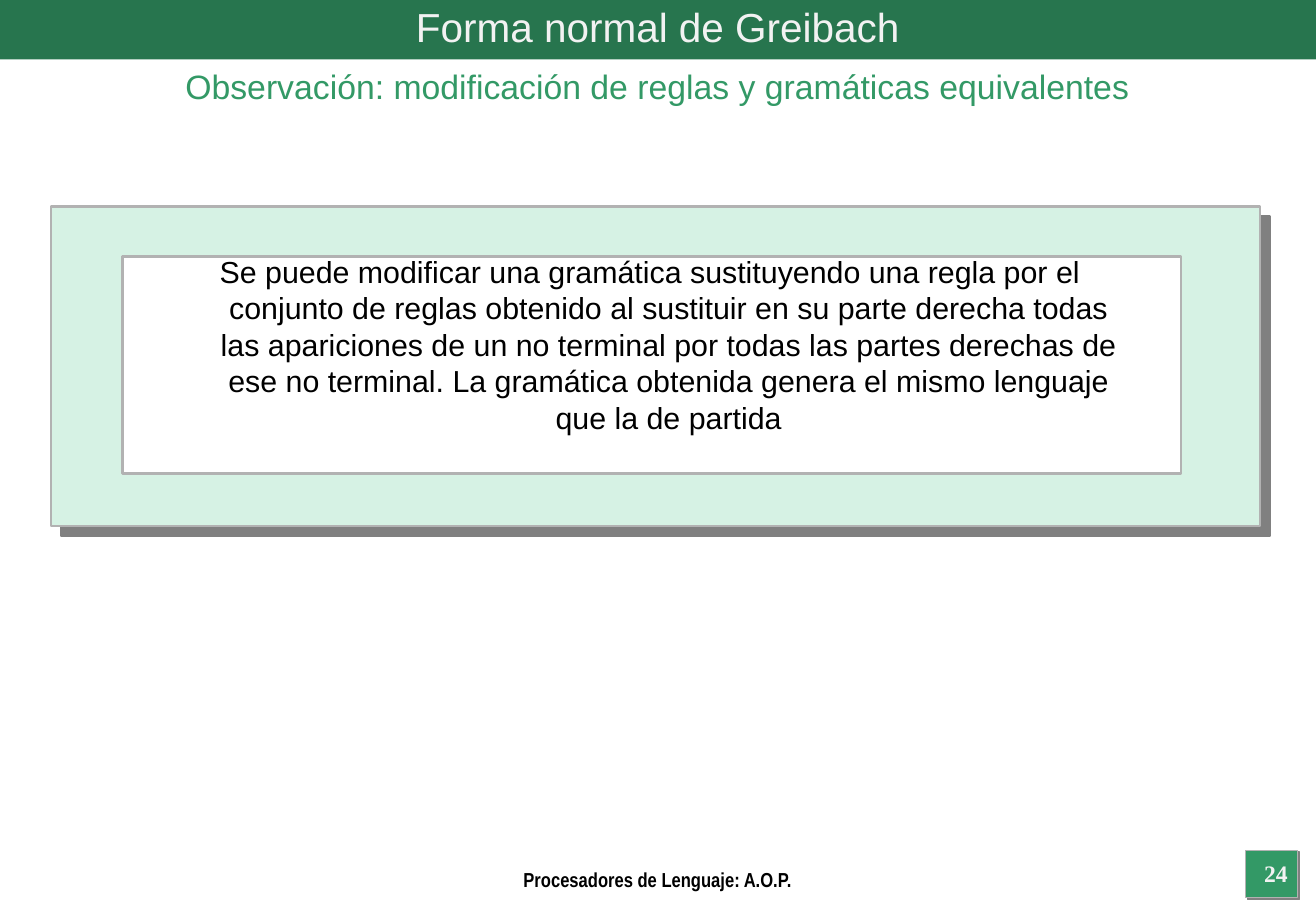
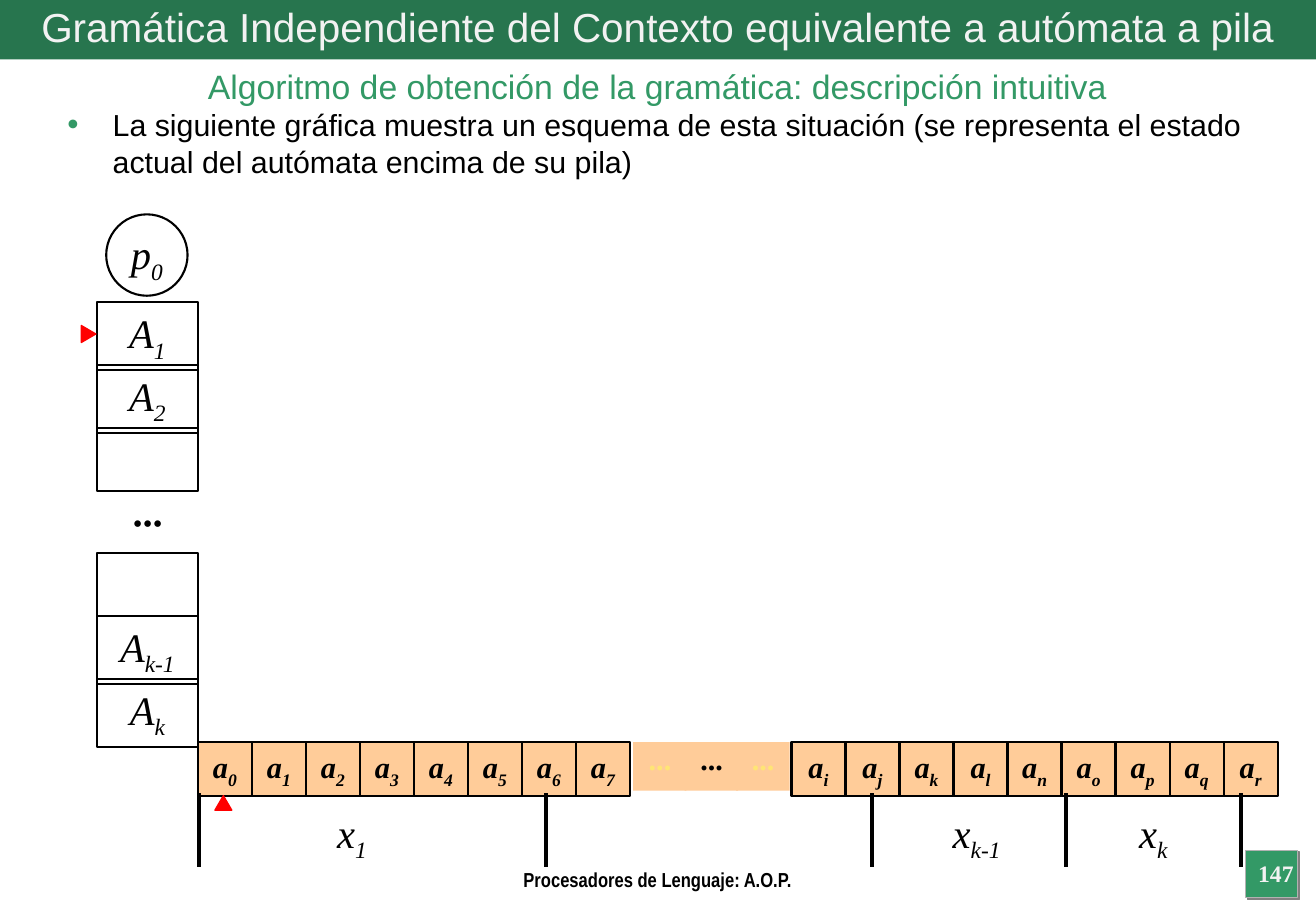
import lxml.etree
import pptx
import pptx.dml.color
import pptx.enum.shapes
import pptx.enum.text
import pptx.oxml.ns
import pptx.util

PX = 4572  # 200 px to the inch
INK = {"green": "339966", "dark": "27754E", "mint": "D6F2E4", "pale": "F2F2F2",
       "grey": "B2B2B2", "shade": "808080", "black": "000000", "white": "FFFFFF",
       "red": "FF0000", "peach": "FFCC99", "gold": "FFE575"}
# name: font, size, colour, bold, italic
STYLE = {"title": ("Arial", 24, "pale", False, False),
         "sub": ("Arial", 20, "green", False, False),
         "body": ("Arial", 18, "black", False, False),
         "foot": ("Arial Narrow", 12, "black", True, False),
         "page": ("Times New Roman", 14, "pale", True, False),
         "sign": ("Times New Roman", 24, "black", False, True),
         "gap": ("Times New Roman", 24, "black", True, True),
         "cell": ("Times New Roman", 18, "black", True, True),
         "faint": ("Times New Roman", 18, "gold", True, True)}
KIND = pptx.enum.shapes.MSO_SHAPE
ALIGN = pptx.enum.text.PP_ALIGN
ANCHOR = pptx.enum.text.MSO_ANCHOR
qn = pptx.oxml.ns.qn


def emu(*sizes):
    return [pptx.util.Emu(size * PX) for size in sizes]


def rgb(name):
    return pptx.dml.color.RGBColor.from_string(INK[name])


def node(parent, tag, **attrs):
    return lxml.etree.SubElement(parent, qn(tag), attrs)


def write(shape, text, style, sub="", align=ALIGN.CENTER, anchor=ANCHOR.TOP):
    """Put one paragraph, with an optional subscript, into a shape."""
    frame = shape.text_frame
    frame.word_wrap = True
    frame.vertical_anchor = anchor
    para = frame.paragraphs[0]
    para.text = text
    para.alignment = align
    if sub:
        run = para.add_run()
        run.text = sub
        run._r.get_or_add_rPr().set("baseline", "-25000")
    face, size, ink, bold, slant = STYLE[style]
    for run in para.runs:
        font = run.font
        font.name, font.size = face, pptx.util.Pt(size)
        font.bold, font.italic = bold, slant
        font.color.rgb = rgb(ink)
    return para


def label(slide, box, text, style, **opts):
    return write(slide.shapes.add_textbox(*emu(*box)), text, style, **opts)


def sign(slide, mid, top, text, sub):
    """Set a symbol centred on mid, in a box wide enough for one line."""
    label(slide, (mid - 80, top, 160, 112), text, "sign", sub=sub)


def draw(slide, box, fill=None, line=None, width=1.25, kind=KIND.RECTANGLE):
    shape = slide.shapes.add_shape(kind, *emu(*box))
    shape.shadow.inherit = False
    if fill:
        shape.fill.solid()
        shape.fill.fore_color.rgb = rgb(fill)
    else:
        shape.fill.background()
    if line:
        shape.line.color.rgb = rgb(line)
        shape.line.width = pptx.util.Pt(width)
    else:
        shape.line.fill.background()
    return shape


def shade(shape, dist):
    """Cast a hard shadow to the lower right, dist in points."""
    effects = shape._element.spPr.find(qn("a:effectLst"))
    cast = node(effects, "a:outerShdw", dist=str(pptx.util.Pt(dist)),
                dir="2700000", algn="ctr", rotWithShape="0")
    node(cast, "a:srgbClr", val=INK["shade"])


def hang(para, depth, bullet=False):
    """Indent all lines but the first, which may carry a bullet."""
    props = para._p.get_or_add_pPr()
    props.set("marL", str(depth * PX))
    props.set("indent", str(-depth * PX))
    if bullet:
        node(node(props, "a:buClr"), "a:srgbClr", val=INK["green"])
        node(props, "a:buSzPct", val="120000")
        node(props, "a:buFont", typeface="Times New Roman")
        node(props, "a:buChar", char="•")


def tick(slide, x):
    line = slide.shapes.add_connector(pptx.enum.shapes.MSO_CONNECTOR.STRAIGHT,
                                      *emu(x, 1306, x, 1428))
    line.line.color.rgb = rgb("black")
    line.line.width = pptx.util.Pt(2.5)
    node(line._element.spPr, "a:effectLst")


def arrow(slide, x, y, turn):
    shape = draw(slide, (x, y, 28, 24), "red", "red", 0.75,
                 KIND.ISOSCELES_TRIANGLE)
    shape.rotation = turn


def start(deck, title, sub, page):
    """Add a slide with the shared band, titles, footer and page badge."""
    slide = deck.slides.add_slide(deck.slide_layouts[6])
    shade(draw(slide, (2052, 1400, 86, 78), "green", "grey", 0.75), 1.4)
    draw(slide, (0, 0, 2168, 98), "dark")
    label(slide, (0, 0, 2167, 88), title, "title", anchor=ANCHOR.MIDDLE)
    label(slide, (0, 98, 2167, 88), sub, "sub")
    label(slide, (602, 1419, 963, 36), "Procesadores de Lenguaje: A.O.P.", "foot")
    label(slide, (2048, 1405, 108, 70), page, "page")
    return slide


def rule(deck):
    slide = start(deck, "Forma normal de Greibach",
                  "Observación: modificación de reglas y gramáticas equivalentes",
                  "24")
    shade(draw(slide, (84, 340, 1992, 526), "mint", "grey", 1.5), 8.5)
    draw(slide, (202, 422, 1744, 358), "white", "grey", 1.5)
    para = label(slide, (270, 407, 1601, 350),
                 "Se puede modificar una gramática sustituyendo una regla por el "
                 "conjunto de reglas obtenido al sustituir en su parte derecha "
                 "todas las apariciones de un no terminal por todas las partes "
                 "derechas de ese no terminal. La gramática obtenida genera el "
                 "mismo lenguaje que la de partida", "body")
    hang(para, 62)


def stack(slide):
    draw(slide, (175, 353, 134, 134), line="black", kind=KIND.OVAL)
    sign(slide, 242, 368, "p", "0")
    for i, sub in enumerate(("1", "2", "", None, "", "k-1", "k")):
        box = (160, 498 + i * 310 // 3, 166, 112 if sub else 104)
        if sub is None:
            label(slide, box, "···", "gap")
            continue
        shape = draw(slide, box, line="black")
        if sub:
            write(shape, "A", "sign", sub=sub)
    arrow(slide, 132, 538, 90)


def tape(slide):
    pitch = 89
    for left, subs in ((326, "01234567"), (1304, "ijklnopqr")):
        for i, sub in enumerate(subs):
            cell = draw(slide, (left + i * pitch, 1222, pitch, 89),
                        "peach", "black")
            write(cell, "a", "cell", sub=sub)
    for i, style in enumerate(("faint", "cell", "faint")):
        write(draw(slide, (1043 + i * 85, 1222, 88, 80), "peach"), "···", style)
    arrow(slide, 354, 1310, 0)
    for x in (328, 900, 1436, 1756, 2044):
        tick(slide, x)
    for mid, sub in ((580, "1"), (1609, "k-1"), (1900, "k")):
        sign(slide, mid, 1320, "x", sub)


def scheme(deck):
    slide = start(deck,
                  "Gramática Independiente del Contexto equivalente a autómata a pila",
                  "Algoritmo de obtención de la gramática: descripción intuitiva",
                  "147")
    para = label(slide, (90, 165, 1992, 1202),
                 "La siguiente gráfica muestra un esquema de esta situación (se "
                 "representa el estado actual del autómata encima de su pila)",
                 "body", align=ALIGN.LEFT)
    hang(para, 76, bullet=True)
    stack(slide)
    tape(slide)


def main():
    deck = pptx.Presentation()
    deck.slide_width, deck.slide_height = emu(2168, 1500)
    rule(deck)
    scheme(deck)
    deck.save("out.pptx")


if __name__ == "__main__":
    main()
